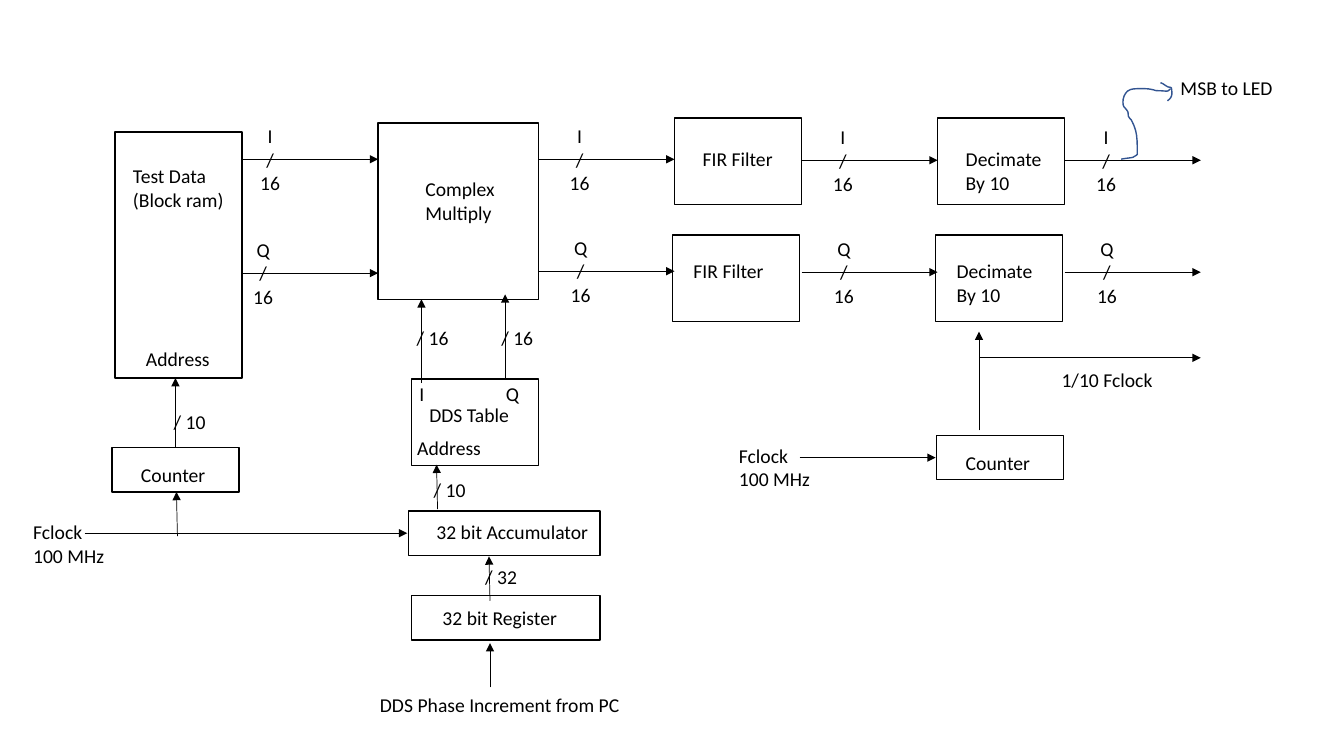
from dataclasses import dataclass

from pptx import Presentation
from pptx.dml.color import RGBColor
from pptx.enum.shapes import MSO_CONNECTOR, MSO_SHAPE
from pptx.enum.text import MSO_AUTO_SIZE, PP_ALIGN
from pptx.oxml.ns import qn
from pptx.oxml.xmlchemy import OxmlElement
from pptx.util import Inches, Pt


@dataclass(frozen=True)
class Theme:
    """Colours, type and line weights of the diagram."""
    ink: RGBColor = RGBColor(0, 0, 0)
    pen: RGBColor = RGBColor(0x32, 0x54, 0x91)
    font: str = "Calibri"
    size: Pt = Pt(14)
    outline: Pt = Pt(1)
    wire: Pt = Pt(0.5)


def apply(target, values):
    """Set each named attribute on the target."""
    for name, value in values.items():
        setattr(target, name, value)


def bezier(points, steps=6):
    """Sample a chain of cubic curves given as start and control points."""
    samples = [points[0]]
    for first in range(0, len(points) - 1, 3):
        a, b, c, d = points[first:first + 4]
        for step in range(1, steps + 1):
            t = step / steps
            weights = ((1 - t) ** 3, 3 * t * (1 - t) ** 2,
                       3 * t * t * (1 - t), t ** 3)
            samples.append(tuple(
                sum(weight * value for weight, value in zip(weights, axis))
                for axis in zip(a, b, c, d)))
    return samples


class Diagram:
    """Draws on one slide, in columns and rows of a grid."""

    cell = Inches(1)
    line_height = 0.235
    margin = 0.05

    def __init__(self, slide, theme):
        """Keep the slide and its theme."""
        self.shapes = slide.shapes
        self.theme = theme

    def at(self, *lengths):
        """Turn grid lengths into slide units."""
        return [round(length * self.cell) for length in lengths]

    def outline(self, shape, color):
        """Leave a shape unfilled and unshadowed, with a plain outline."""
        shape.shadow.inherit = False
        shape.fill.background()
        shape.line.color.rgb = color
        shape.line.width = self.theme.outline

    def box(self, left, top, width=1.26, height=0.86):
        """Draw the outline of a block."""
        block = self.shapes.add_shape(
            MSO_SHAPE.RECTANGLE, *self.at(left, top, width, height))
        self.outline(block, self.theme.ink)

    def label(self, left, top, width, text, align=PP_ALIGN.LEFT):
        """Write one paragraph for each line of the text."""
        lines = text.split("\n")
        height = 2 * self.margin + self.line_height * len(lines)
        frame = self.shapes.add_textbox(
            *self.at(left, top, width, height)).text_frame
        apply(frame, {"word_wrap": False, "text": text,
                      "auto_size": MSO_AUTO_SIZE.SHAPE_TO_FIT_TEXT})
        for paragraph in frame.paragraphs:
            paragraph.alignment = align
            font = paragraph.runs[0].font
            apply(font, {"name": self.theme.font, "size": self.theme.size})
            font.color.rgb = self.theme.ink

    def arrow(self, x1, y1, x2, y2):
        """Draw a thin wire with a triangular head."""
        wire = self.shapes.add_connector(
            MSO_CONNECTOR.STRAIGHT, *self.at(x1, y1, x2, y2))
        wire.line.color.rgb = self.theme.ink
        wire.line.width = self.theme.wire
        properties = wire.element.spPr
        head = OxmlElement("a:tailEnd")
        head.set("type", "triangle")
        properties.find(qn("a:ln")).append(head)
        properties.append(OxmlElement("a:effectLst"))

    def bus(self, left, y, name, center):
        """Draw a 16-bit bus with its name, slash and width."""
        self.arrow(left, y, left + 1.35, y)
        self.label(left + center - 0.2, y - 0.4, 0.4, f"{name}\n/\n16",
                   PP_ALIGN.CENTER)

    def bits(self, center, top, count):
        """Mark the width of an upright bus."""
        self.label(center - 0.26, top, 0.52, f"/ {count}", PP_ALIGN.CENTER)

    def pen_stroke(self, points):
        """Draw a handwritten curve."""
        samples = [self.at(*point) for point in bezier(points)]
        builder = self.shapes.build_freeform(*samples[0], scale=1.0)
        builder.add_line_segments(samples[1:], close=False)
        self.outline(builder.convert_to_shape(), self.theme.pen)


presentation = Presentation()
apply(presentation, {"slide_width": Inches(13.33),
                     "slide_height": Inches(7.5)})
slide = presentation.slides.add_slide(presentation.slide_layouts[6])
diagram = Diagram(slide, Theme())

# Two filter stages, each with an I block above a Q block
for left, text, width in ((6.69, "FIR Filter", 0.9),
                          (9.3, "Decimate\nBy 10", 0.96)):
    diagram.box(left, 1.17)
    diagram.box(left - 0.02, 2.33)
    diagram.label(left + 0.18, 1.41, width, text)
    diagram.label(left + 0.09, 2.52, width, text)

# Single blocks: test data, multiplier, DDS chain and counters
for bounds in ((1.14, 1.31, 1.26, 2.44), (3.75, 1.22, 1.59, 1.75),
               (4.08, 3.76), (4.05, 5.07, 1.9, 0.44),
               (4.08, 5.91, 1.87, 0.44), (1.11, 4.44, 1.26, 0.44),
               (9.29, 4.32, 1.26, 0.44)):
    diagram.box(*bounds)

for left, i_row, q_row, i_center, q_center in (
        (2.4, 1.58, 2.71, 0.28, 0.21), (5.34, 1.58, 2.69, 0.41, 0.42),
        (7.95, 1.59, 2.7, 0.41, 0.42), (10.56, 1.59, 2.7, 0.41, 0.42)):
    diagram.bus(left, i_row, "I", i_center)
    diagram.bus(left, q_row, "Q", q_center)

for wire in ((1.74, 4.43, 1.74, 3.75), (0.84, 5.29, 4.04, 5.29),
             (1.76, 5.32, 1.75, 4.88), (4.86, 5.96, 4.85, 5.52),
             (4.86, 6.82, 4.86, 6.38), (4.34, 5.05, 4.33, 4.61),
             (4.18, 3.8, 4.18, 2.97), (5.01, 3.75, 5.01, 2.92),
             (9.71, 4.27, 9.71, 3.29), (7.93, 4.54, 9.28, 4.54),
             (9.71, 3.55, 11.91, 3.55)):
    diagram.arrow(*wire)

for mark in ((1.88, 4.02, 10), (4.46, 4.69, 10), (4.97, 5.55, 32),
             (4.29, 3.18, 16), (5.13, 3.18, 16)):
    diagram.bits(*mark)

for label in ((1.22, 1.58, 1.11, "Test Data\n(Block ram)"),
              (1.35, 3.39, 0.84, "Address"),
              (1.3, 4.54, 0.85, "Counter"),
              (0.23, 5.11, 0.91, "Fclock\n100 MHz"),
              (4.12, 1.71, 0.9, "Complex\nMultiply"),
              (4.06, 3.74, 0.25, "I"),
              (4.92, 3.74, 0.33, "Q"),
              (4.16, 3.95, 1, "DDS Table"),
              (4.04, 4.28, 0.84, "Address"),
              (4.23, 5.11, 1.72, "32 bit Accumulator"),
              (4.29, 5.96, 1.35, "32 bit Register"),
              (3.67, 6.82, 2.6, "DDS Phase Increment from PC"),
              (11.61, 0.7, 1.12, "MSB to LED"),
              (10.43, 3.6, 1.11, "1/10 Fclock"),
              (9.48, 4.42, 0.85, "Counter"),
              (7.23, 4.35, 0.91, "Fclock\n100 MHz")):
    diagram.label(*label)

# Handwritten arrow from the I output to the LED note
diagram.pen_stroke([
    (11.12, 1.58), (11.16, 1.57), (11.2, 1.57), (11.24, 1.56),
    (11.25, 1.55), (11.28, 1.54), (11.28, 1.53),
    (11.28, 1.37), (11.28, 1.3), (11.22, 1.19),
    (11.21, 1.18), (11.2, 1.17), (11.19, 1.15),
    (11.19, 1.13), (11.19, 1.11), (11.18, 1.1),
    (11.17, 1.08), (11.14, 1.06), (11.14, 1.04),
    (11.13, 0.99), (11.15, 0.91), (11.21, 0.89),
    (11.24, 0.88), (11.28, 0.88), (11.32, 0.88),
    (11.36, 0.88), (11.39, 0.88), (11.43, 0.89),
    (11.44, 0.89), (11.46, 0.9), (11.47, 0.9),
    (11.59, 0.9), (11.57, 0.92), (11.61, 0.88)])
diagram.pen_stroke([
    (11.51, 0.82), (11.54, 0.83), (11.56, 0.85), (11.58, 0.86),
    (11.6, 0.87), (11.62, 0.86), (11.62, 0.88),
    (11.63, 0.95), (11.62, 0.97), (11.58, 1)])

presentation.save("out.pptx")
